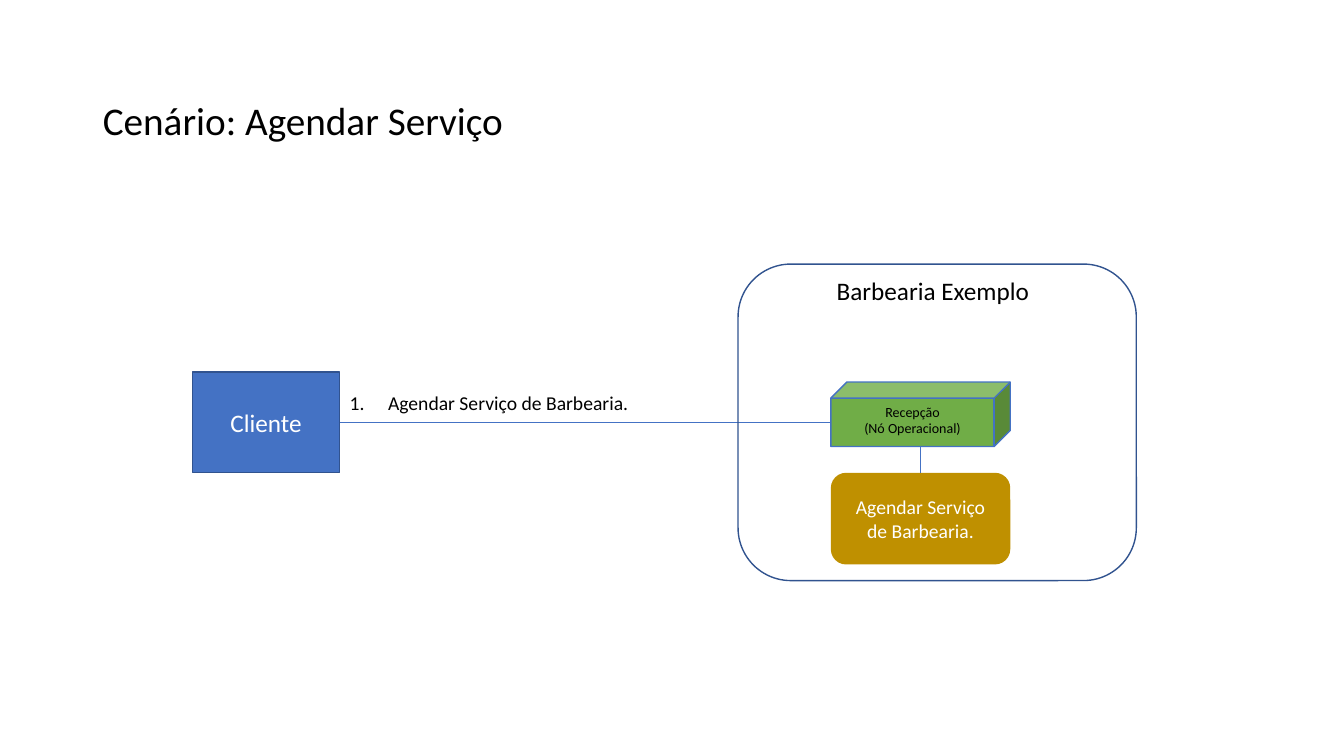
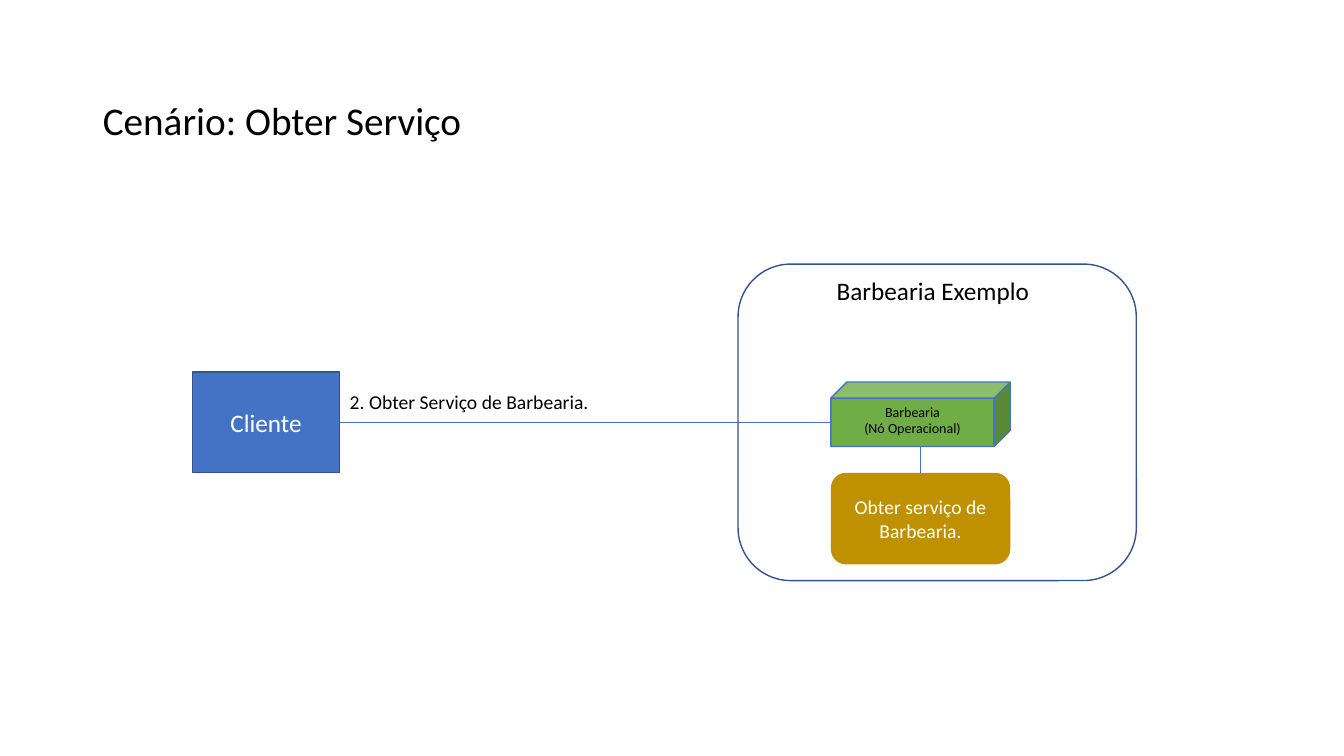
"""Build two barbershop scenario slides that share one diagram."""
from lxml import etree
from pptx import Presentation
from pptx.dml.color import RGBColor
from pptx.enum.shapes import MSO_CONNECTOR, MSO_SHAPE
from pptx.enum.text import MSO_ANCHOR, PP_ALIGN
from pptx.oxml.ns import qn
from pptx.util import Inches, Pt

RECT, ROUND, CUBE = MSO_SHAPE.RECTANGLE, MSO_SHAPE.ROUNDED_RECTANGLE, MSO_SHAPE.CUBE
STRAIGHT, CURVE = MSO_CONNECTOR.STRAIGHT, MSO_CONNECTOR.CURVE
TOP, MIDDLE = MSO_ANCHOR.TOP, MSO_ANCHOR.MIDDLE
LEFT, CENTER = PP_ALIGN.LEFT, PP_ALIGN.CENTER

FONT = "Calibri"
TITLE_LAYOUT = 5
COLORS = {
    "blue": "4472C4",
    "navy": "31538F",
    "green": "70AD47",
    "gold": "BF9000",
    "white": "FFFFFF",
    "black": "000000",
}
SHOP = "Barbearia Exemplo"
SCENARIOS = [
    {
        "title": "Cenário: Agendar Serviço",
        "message": "Agendar Serviço de Barbearia.",
        "numbered": True,
        "message_top": 3.83,
        "node": "Recepção",
        "service": "Agendar Serviço de Barbearia.",
    },
    {
        "title": "Cenário: Obter Serviço",
        "message": "2. Obter Serviço de Barbearia.",
        "numbered": False,
        "message_top": 3.82,
        "node": "Barbearia",
        "service": "Obter serviço de Barbearia.",
    },
]


def rgb(name):
    return RGBColor.from_string(COLORS[name])


def write(sp, lines, size, color="black", align=LEFT, anchor=TOP):
    tf = sp.text_frame
    tf.word_wrap = True
    tf.vertical_anchor = anchor
    for i, line in enumerate(lines):
        p = tf.paragraphs[0] if i == 0 else tf.add_paragraph()
        p.alignment = align
        r = p.add_run()
        r.text = line
        r.font.name = FONT
        r.font.size = Pt(size)
        r.font.color.rgb = rgb(color)
    return tf


def add_box(s, kind, box, fill=None, line=None):
    sp = s.shapes.add_shape(kind, *map(Inches, box))
    sp.shadow.inherit = False
    if fill:
        sp.fill.solid()
        sp.fill.fore_color.rgb = rgb(fill)
    else:
        sp.fill.background()
    if line:
        sp.line.color.rgb = rgb(line)
        sp.line.width = Pt(1)
    else:
        sp.line.fill.background()
    return sp


def add_label(s, box, text, size):
    sp = s.shapes.add_textbox(*map(Inches, box))
    return write(sp, [text], size)


def add_link(s, kind, start, end):
    link = s.shapes.add_connector(kind, *map(Inches, start + end))
    link.line.color.rgb = rgb("blue")
    link.line.width = Pt(0.75)
    etree.SubElement(link._element.spPr, qn("a:effectLst"))


def number(p):
    pPr = p._p.get_or_add_pPr()
    pPr.set("marL", str(Inches(0.38)))
    pPr.set("indent", str(-Inches(0.38)))
    etree.SubElement(pPr, qn("a:buFont"), typeface="+mj-lt")
    etree.SubElement(pPr, qn("a:buAutoNum"), type="arabicPeriod")


def set_title(s, text):
    sp = s.shapes.title
    sp.left, sp.top, sp.width, sp.height = map(Inches, (0.92, 0.49, 11.5, 1.45))
    tf = write(sp, [text], 28, anchor=MIDDLE)
    tf.paragraphs[0].line_spacing = 0.9


def add_scenario(prs, scenario):
    s = prs.slides.add_slide(prs.slide_layouts[TITLE_LAYOUT])
    set_title(s, scenario["title"])

    client = add_box(s, RECT, (1.91, 3.69, 1.46, 1), "blue", "navy")
    write(client, ["Cliente"], 18, "white", CENTER, MIDDLE)
    add_link(s, CURVE, (3.37, 4.19), (8.24, 4.19))
    message = add_label(s, (3.37, scenario["message_top"], 3.95, 0.37), scenario["message"], 14)
    if scenario["numbered"]:
        number(message.paragraphs[0])

    add_box(s, ROUND, (7.32, 2.62, 3.95, 3.14), line="navy")
    add_label(s, (8.2, 2.68, 2.11, 0.35), SHOP, 18)
    node = add_box(s, CUBE, (8.24, 3.79, 1.78, 0.64), "green", "blue")
    write(node, [scenario["node"], "(Nó Operacional)"], 10, align=CENTER)
    service = add_box(s, ROUND, (8.24, 4.69, 1.78, 0.91), "gold")
    write(service, [scenario["service"]], 14, "white", CENTER, MIDDLE)
    add_link(s, STRAIGHT, (9.13, 4.43), (9.13, 4.69))


def main():
    prs = Presentation()
    prs.slide_width, prs.slide_height = Inches(13.33), Inches(7.5)
    for scenario in SCENARIOS:
        add_scenario(prs, scenario)
    prs.save("out.pptx")


if __name__ == "__main__":
    main()
